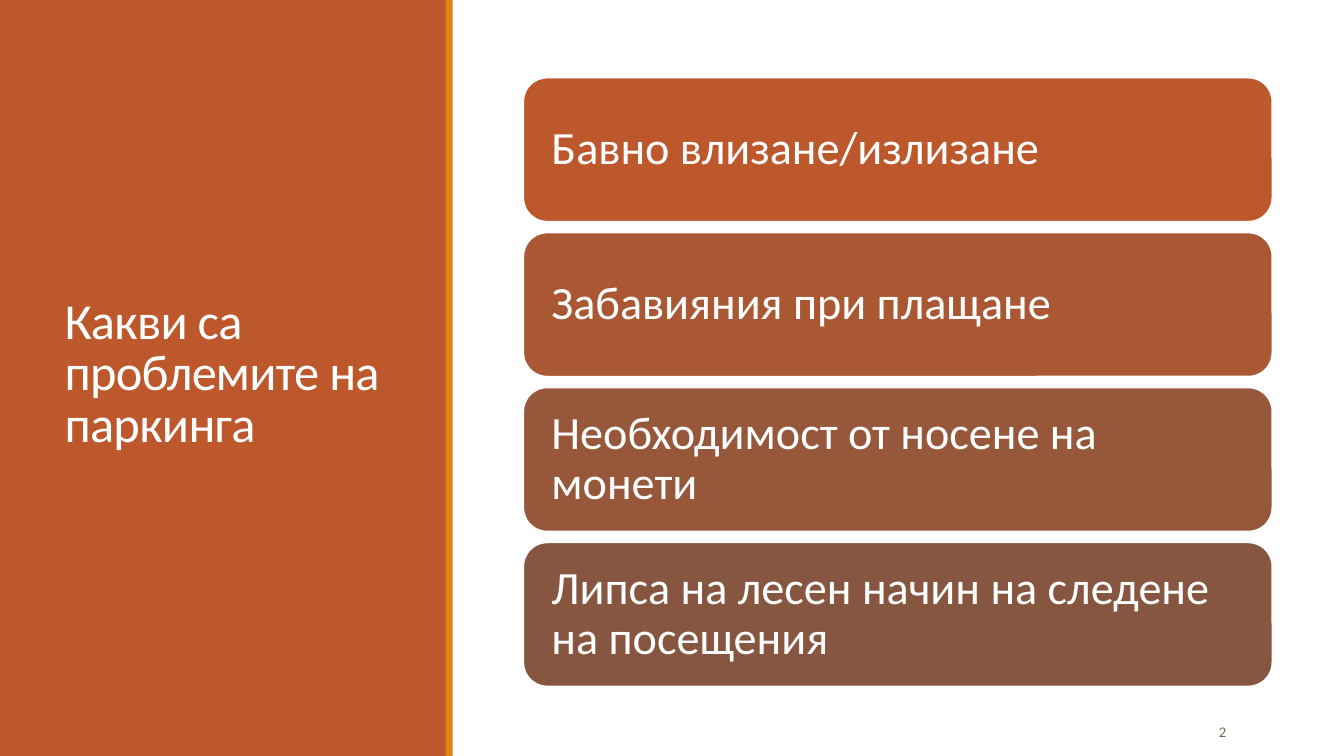
from pptx import Presentation
from pptx.dml.color import RGBColor
from pptx.enum.shapes import MSO_SHAPE
from pptx.enum.text import MSO_ANCHOR, MSO_AUTO_SIZE, PP_ALIGN
from pptx.util import Inches, Pt

RECT, ROUND = MSO_SHAPE.RECTANGLE, MSO_SHAPE.ROUNDED_RECTANGLE
MIDDLE = MSO_ANCHOR.MIDDLE
LEFT, RIGHT = PP_ALIGN.LEFT, PP_ALIGN.RIGHT

TITLE = "Какви са проблемите на паркинга"
PROBLEMS = [
    ("Бавно влизане/излизане", "BD582C"),
    ("Забавияния при плащане", "AA5834"),
    ("Необходимост от носене на монети", "97573A"),
    ("Липса на лесен начин на следене на посещения", "865640"),
]
PAGE = "2"

THEME = {
    "font": "Calibri",
    "panel": "BD582C", "stripe": "E48312", "white": "FFFFFF", "page": "637052",
    "title_size": 36, "card_size": 33, "page_size": 10.5,
}

WIDTH, HEIGHT = 13.33, 7.5
CARD_X, CARD_Y, CARD_W, CARD_H = 5.19, 0.77, 7.43, 1.43
STEP = 1.537


def add_box(slide, kind, box, fill, line=None):
    shape = slide.shapes.add_shape(kind, *map(Inches, box))
    shape.shadow.inherit = False
    shape.fill.solid()
    shape.fill.fore_color.rgb = RGBColor.from_string(fill)
    if line:
        shape.line.color.rgb = RGBColor.from_string(line)
        shape.line.width = Pt(1.25)
    else:
        shape.line.fill.background()
    return shape


def write(shape, text, size, color, align=LEFT, spacing=1.0, inset=(0.1, 0.05)):
    """Fill the shape with one middle-anchored paragraph and return its run."""
    frame = shape.text_frame
    frame.word_wrap = True
    frame.auto_size = MSO_AUTO_SIZE.NONE
    frame.vertical_anchor = MIDDLE
    frame.margin_left = frame.margin_right = Inches(inset[0])
    frame.margin_top = frame.margin_bottom = Inches(inset[1])
    para = frame.paragraphs[0]
    para.alignment = align
    para.line_spacing = spacing
    run = para.add_run()
    run.text = text
    run.font.name = THEME["font"]
    run.font.size = Pt(size)
    run.font.color.rgb = RGBColor.from_string(color)
    return run


def add_title(slide, panel):
    title = slide.shapes.title
    panel.element.addnext(title.element)
    title.left, title.top = Inches(0.54), Inches(0.57)
    title.width, title.height = Inches(3.37), Inches(6.31)
    run = write(title, TITLE, THEME["title_size"], THEME["white"], spacing=0.85)
    run.font._element.set("spc", "-50")


def add_cards(slide):
    for row, (text, fill) in enumerate(PROBLEMS):
        box = (CARD_X, CARD_Y + row * STEP, CARD_W, CARD_H)
        card = add_box(slide, ROUND, box, fill, THEME["white"])
        write(card, text, THEME["card_size"], THEME["white"],
              spacing=0.9, inset=(0.21, 0.21))


def add_page(slide):
    box = slide.shapes.add_textbox(*map(Inches, (11.07, 7.06, 1.19, 0.4)))
    write(box, PAGE, THEME["page_size"], THEME["page"], align=RIGHT)
    box.text_frame.paragraphs[0].space_after = Pt(6)


def main():
    deck = Presentation()
    deck.slide_width, deck.slide_height = Inches(WIDTH), Inches(HEIGHT)
    slide = deck.slides.add_slide(deck.slide_layouts[5])
    panel = add_box(slide, RECT, (0, 0, 4.43, HEIGHT), THEME["panel"])
    add_title(slide, panel)
    add_box(slide, RECT, (4.42, 0, 0.07, HEIGHT), THEME["stripe"])
    add_page(slide)
    add_cards(slide)
    deck.save("out.pptx")


if __name__ == "__main__":
    main()
